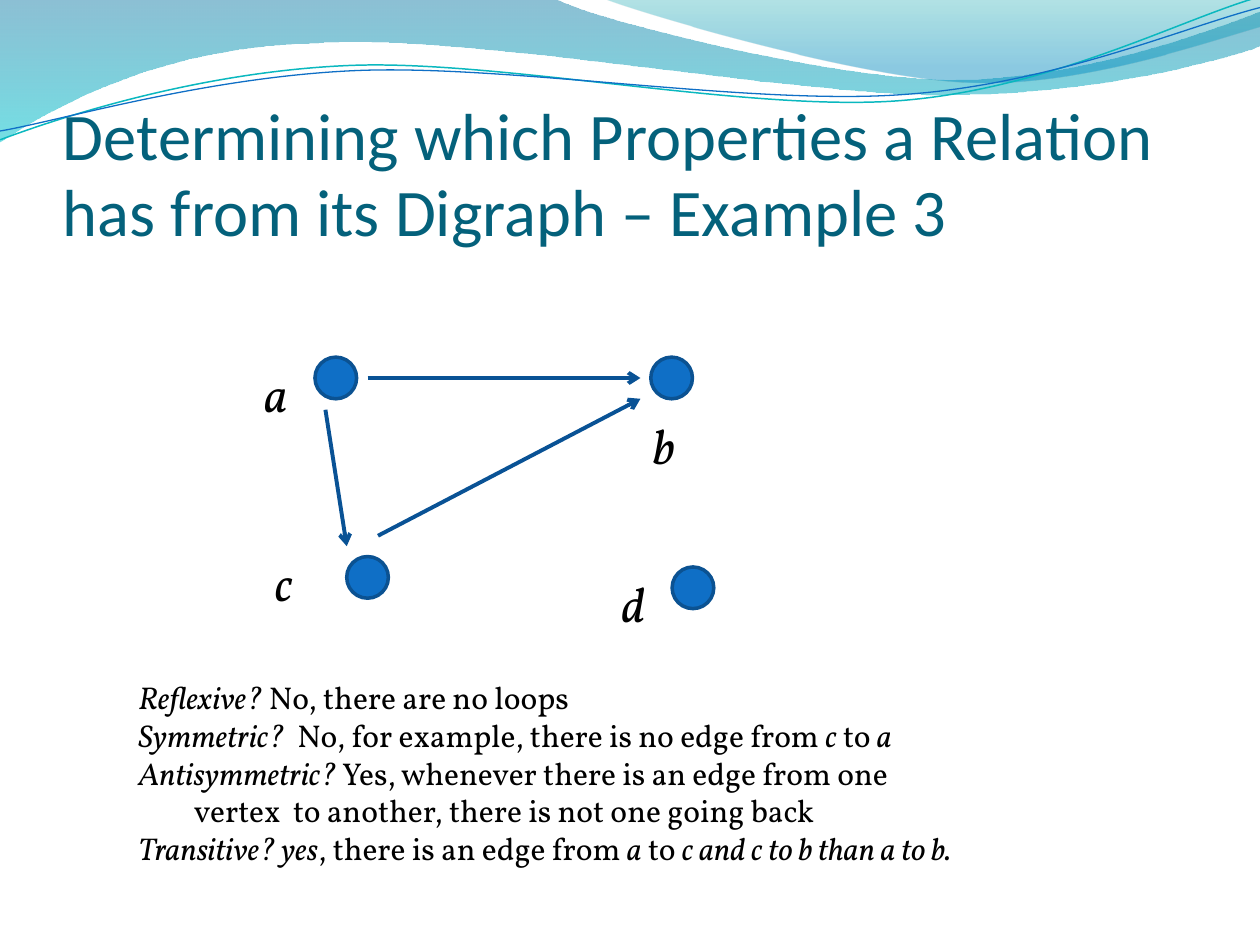
import math
from dataclasses import dataclass

from pptx import Presentation
from pptx import util as u
from pptx.dml.color import RGBColor
from pptx.enum import shapes, text
from pptx.oxml import ns
from pptx.oxml.xmlchemy import OxmlElement


@dataclass(frozen=True)
class Theme:
    title: str = "04617B"
    ink: str = "000000"
    vertex: str = "0F6FC6"
    rim: str = "0B5292"
    edge: str = "095295"
    teal: str = "0AB8BF"
    heading_font: str = "Calibri"
    body_font: str = "Vollkorn"
    title_size: int = 38
    label_size: int = 28
    answer_size: int = 18


theme = Theme()
rgb = RGBColor.from_string

prs = Presentation()
prs.slide_width, prs.slide_height = u.Cm(25.4), u.Cm(19.05)
slide = prs.slides.add_slide(prs.slide_layouts[6])


def add_text(content, *, at, size, font=theme.body_font, color=theme.ink,
             anchor=text.MSO_ANCHOR.TOP, insets=(0.25, 0.13, 0.25, 0.13), spacing=None,
             fit=text.MSO_AUTO_SIZE.SHAPE_TO_FIT_TEXT):
    frame = slide.shapes.add_textbox(*map(u.Cm, at)).text_frame
    frame.word_wrap = True
    frame.auto_size = fit
    frame.vertical_anchor = anchor
    (frame.margin_left, frame.margin_top,
     frame.margin_right, frame.margin_bottom) = map(u.Cm, insets)
    for index, line in enumerate(content.split("\n")):
        paragraph = frame.paragraphs[0] if index == 0 else frame.add_paragraph()
        if line.startswith("\t"):
            paragraph._p.get_or_add_pPr().set("marL", str(u.Cm(1.12)))
        if spacing:
            paragraph.line_spacing = spacing
        for part, words in enumerate(line.strip("\t").split("*")):
            if words:
                run = paragraph.add_run()
                run.text = words
                run.font.name, run.font.size = font, u.Pt(size)
                run.font.color.rgb = rgb(color)
                run.font.italic = part % 2 == 1


def add_wave(start, segments, closed, tilt=0, center=(4.99, 0.58)):
    cos, sin = math.cos(math.radians(tilt)), math.sin(math.radians(tilt))
    level = []
    for segment in [start, *segments]:
        offsets = [(x - center[0], y - center[1])
                   for x, y in zip(segment[::2], segment[1::2])]
        level.append([(u.Cm(2.54 * (center[0] + x * cos + y * sin)),
                       u.Cm(2.54 * (center[1] - x * sin + y * cos))) for x, y in offsets])
    builder = slide.shapes.build_freeform(*level[0][0])
    builder.add_line_segments([points[-1] for points in level[1:]], close=closed)
    wave = builder.convert_to_shape()
    for line, points in zip(list(wave._element.iter(ns.qn("a:lnTo"))), level[1:]):
        if len(points) == 3:
            curve = OxmlElement("a:cubicBezTo")
            for x, y in points:
                point = OxmlElement("a:pt")
                point.set("x", str(x - wave.left))
                point.set("y", str(y - wave.top))
                curve.append(point)
            line.getparent().replace(line, curve)
    wave.rotation = tilt % 360
    wave.shadow.inherit = False
    return wave


bands = [
    ((0, 0), [(4.4, -0.01), (4.76, 0.17, 6.64, 0.63, 7.58, 0.63),
              (8.53, 0.63, 9.58, 0.26, 10, 0.09), (10.01, 0.36),
              (9.83, 0.44, 8.7, 0.76, 7.46, 0.75), (6.22, 0.75, 3.82, 0.28, 2.57, 0.34),
              (1.29, 0.36, 0.46, 0.83, -0.01, 1.13)],
     [(0, "0074A1", 45), (1, "00C6CF", 55)]),
    ((4.79, -0.01), [(5.09, 0.11, 6.82, 0.62, 7.69, 0.65),
                     (8.56, 0.69, 9.61, 0.32, 10, 0.21), (10, 0)],
     [(0, "00A1A9", 30), (0.8, "008BBF", 45)]),
]
for start, segments, stops in bands:
    band = add_wave(start, segments, closed=True)
    band.line.fill.background()
    band.fill.gradient()
    band.fill.gradient_angle = 270
    for stop, (position, color, opacity) in zip(band.fill.gradient_stops, stops):
        stop.position = position
        stop.color.rgb = rgb(color)
    for tint, (position, color, opacity) in zip(
            band._element.spPr.iter(ns.qn("a:srgbClr")), stops):
        alpha = OxmlElement("a:alpha")
        alpha.set("val", str(opacity * 1000))
        tint.append(alpha)

strands = [
    ((0, 1.11), [(0.48, 0.93, 1.58, 0.57, 2.77, 0.52), (3.95, 0.47, 5.93, 0.89, 7.13, 0.8),
                 (8.33, 0.71, 9.38, 0.15, 9.98, -0.02)], theme.teal, 0.85),
    ((0, 1.04), [(0.47, 0.96, 1.64, 0.61, 2.83, 0.56), (4.03, 0.51, 5.97, 0.84, 7.17, 0.75),
                 (8.36, 0.67, 9.41, 0.21, 10, 0.06)], theme.vertex, 0.75),
]
for start, segments, color, width in strands:
    strand = add_wave(start, segments, closed=False, tilt=-2.7)
    strand.fill.background()
    strand.line.color.rgb = rgb(color)
    strand.line.width = u.Pt(width)

add_text("Determining which Properties a Relation has from its Digraph – Example 3",
         at=(1.27, 1.9, 22.86, 3.18), size=theme.title_size, font=theme.heading_font,
         color=theme.title, anchor=text.MSO_ANCHOR.BOTTOM, insets=(0, 0.13, 0, 0),
         spacing=0.95, fit=text.MSO_AUTO_SIZE.NONE)

vertices = {
    "a": ((6.35, 7.2), (5.08, 7.2)),
    "b": ((13.12, 7.2), (12.91, 8.25)),
    "c": ((6.99, 11.22), (5.29, 11.01)),
    "d": ((13.55, 11.43), (12.28, 11.43)),
}
for name, (corner, label_corner) in vertices.items():
    vertex = slide.shapes.add_shape(shapes.MSO_SHAPE.OVAL, *map(u.Cm, (*corner, 0.84, 0.84)))
    vertex.shadow.inherit = False
    vertex.fill.solid()
    vertex.fill.fore_color.rgb = rgb(theme.vertex)
    vertex.line.color.rgb = rgb(theme.rim)
    vertex.line.width = u.Pt(2)
    add_text(f"*{name}*", at=(*label_corner, 1.06, 1.45), size=theme.label_size)

edges = [
    (7.41, 7.62, 12.91, 7.62),
    (6.56, 8.26, 6.99, 11.01),
    (7.62, 10.8, 12.91, 8.04),
]
for ends in edges:
    edge = slide.shapes.add_connector(shapes.MSO_CONNECTOR.STRAIGHT, *map(u.Cm, ends))
    edge.line.color.rgb = rgb(theme.edge)
    edge.line.width = u.Pt(2.25)
    arrowhead = OxmlElement("a:tailEnd")
    arrowhead.set("type", "arrow")
    edge.line._get_or_add_ln().append(arrowhead)
    edge._element.spPr.append(OxmlElement("a:effectLst"))

answers = """*Reflexive?* No, there are no loops
*Symmetric?*  No, for example, there is no edge from *c* to *a*
*Antisymmetric?* Yes, whenever there is an edge from one
\tvertex  to another, there is not one going back
*Transitive? yes*, there is an edge from *a* to *c and c to b than a to b.*"""
add_text(answers, at=(2.54, 13.54, 18.42, 4.11), size=theme.answer_size)

prs.save("out.pptx")
